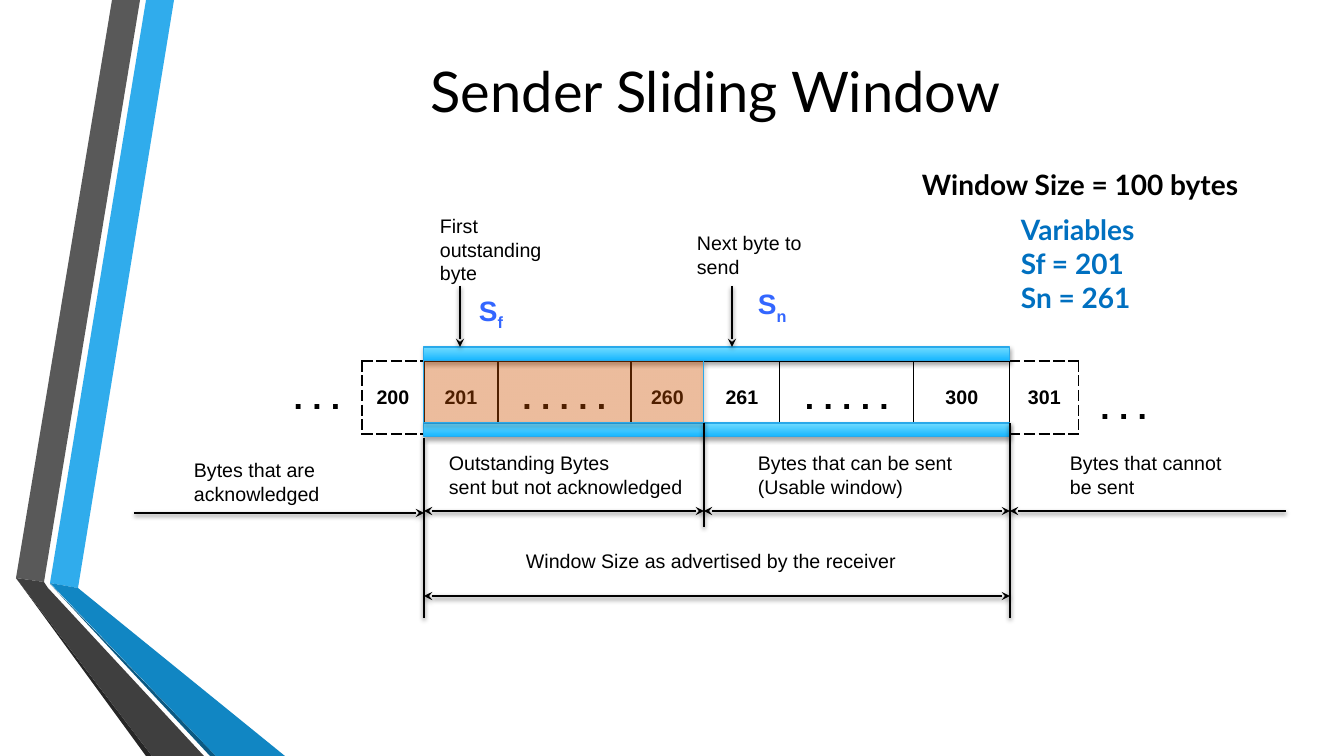
from itertools import accumulate

from lxml import etree
from pptx import Presentation
from pptx.dml.color import RGBColor
from pptx.enum.shapes import MSO_CONNECTOR, MSO_SHAPE
from pptx.enum.text import MSO_ANCHOR, PP_ALIGN
from pptx.oxml.ns import qn
from pptx.util import Pt

STRAIGHT, RECTANGLE = MSO_CONNECTOR.STRAIGHT, MSO_SHAPE.RECTANGLE
MIDDLE, CENTER = MSO_ANCHOR.MIDDLE, PP_ALIGN.CENTER
SCALE = 914400 / 100.8  # EMU per pixel
NO_STYLE = "{2D5ABB26-0587-4C30-8999-92F81FD0307C}"
COLORS = {
    "black": "000000", "variables": "0070C0", "pointer": "3366FF",
    "bar dark": "13B5FF", "bar light": "73DCFF", "bar edge": "29A9EA",
    "outstanding": "FF6600", "blue": "30ACEC", "gray": "595959",
    "gray fold": "262626", "blue fold": "0B5982",
    "blue tail": "1186C3", "gray tail": "3F3F3F",
}

# Content
TITLE = "Sender Sliding Window"
RIBBONS = [
    ("blue", [(50, 583), (78, 588), (174, 0), (146, 0)]),
    ("gray", [(140, 0), (112, 0), (16, 578), (44, 582)]),
    ("gray fold", [(16, 578), (146, 756), (152, 756)]),
    ("blue fold", [(50, 584), (210, 756), (216, 756)]),
    ("blue tail", [(50, 583), (216, 756), (285, 756), (78, 588)]),
    ("gray tail", [(204, 756), (48, 588), (44, 582), (16, 578), (152, 756)]),
]
# byte label, column width
BYTES = [(". . .", 90), ("200", 62), ("201", 74), (". . . . .", 133), ("260", 73),
         ("261", 76), (". . . . .", 134), ("300", 96), ("301", 69), (". . .", 90)]
# left, top, width, height, lines
LABELS = [
    (184, 453, 175, 57, ["Bytes that are acknowledged"]),
    (439, 446, 290, 57, ["Outstanding Bytes", "sent but not acknowledged"]),
    (748, 446, 238, 57, ["Bytes that can be sent (Usable window)"]),
    (1060, 446, 175, 57, ["Bytes that cannot be sent"]),
    (516, 544, 460, 34, ["Window Size as advertised by the receiver"]),
    (430, 209, 133, 82, ["First outstanding byte"]),
    (687, 226, 133, 57, ["Next byte to send"]),
]
FACTS = [
    (912, 163, 389, 44, ["Window Size = 100 bytes"], "black"),
    (1011, 208, 276, 112, ["Variables", "Sf = 201", "Sn = 261"], "variables"),
]
POINTERS = [(469, 289, 48, 44, "S", "f"), (748, 282, 54, 44, "S", "n")]

# Layout of the byte row and the window around it
ROW_TOP, ROW_HEIGHT = 361, 73
BAR_TOPS, BAR_HEIGHT = (347, 423), 14
EDGES = list(accumulate((width for _, width in BYTES), initial=272))
LEFT, NEXT, RIGHT = EDGES[2], EDGES[5], EDGES[8]
# x1, y1, x2, y2, arrow at start, arrow at end
LINES = [
    (LEFT, 438, LEFT, 618, False, False),
    (NEXT, 423, NEXT, 527, False, False),
    (RIGHT, 423, RIGHT, 618, False, False),
    (134, 513, LEFT, 513, False, True),
    (LEFT, 511, NEXT, 511, True, True),
    (NEXT, 511, RIGHT, 511, True, True),
    (1286, 511, RIGHT, 511, False, True),
    (LEFT, 596, RIGHT, 596, True, True),
    (460, 286, 460, 347, False, True),
    (732, 286, 732, 347, False, True),
]


def px(*lengths):
    return [round(length * SCALE) for length in lengths]


def rgb(name):
    return RGBColor.from_string(COLORS[name])


def add_node(parent, tag, **attributes):
    return etree.SubElement(parent, qn(tag), attributes)


def set_font(paragraph, size, name, color="black", bold=False):
    font = paragraph.font
    font.size, font.name, font.bold = Pt(size), name, bold
    font.color.rgb = rgb(color)


def add_shadow(shape, distance, alpha):
    effects = add_node(shape._element.spPr, "a:effectLst")
    shadow = add_node(effects, "a:outerShdw", blurRad="40000", dist=str(distance),
                      dir="5400000", rotWithShape="0")
    color = add_node(shadow, "a:srgbClr", val=COLORS["black"])
    add_node(color, "a:alpha", val=str(alpha * 1000))


def add_text(box, lines, size, name, color="black", bold=False):
    frame = slide.shapes.add_textbox(*px(*box)).text_frame
    frame.word_wrap = True
    frame.text = "\n".join(lines)
    for paragraph in frame.paragraphs:
        set_font(paragraph, size, name, color, bold)
    return frame.paragraphs[0]


def add_box(left, top, width, height):
    shape = slide.shapes.add_shape(RECTANGLE, *px(left, top, width, height))
    shape.line.color.rgb = rgb("bar edge")
    shape.line.width = Pt(0.75)
    return shape


def add_border(cell, tag, style):
    border = add_node(cell._tc.get_or_add_tcPr(), tag, w="12700" if style else "0")
    if style is None:
        add_node(border, "a:noFill")
        return
    fill = add_node(border, "a:solidFill")
    add_node(fill, "a:srgbClr", val=COLORS["black"])
    add_node(border, "a:prstDash", val=style)


presentation = Presentation()
presentation.slide_width, presentation.slide_height = px(1344, 756)
slide = presentation.slides.add_slide(presentation.slide_layouts[5])

# Title
title = slide.shapes.title
title.left, title.top, title.width, title.height = px(163, 40, 1105, 101)
title.text_frame.text = TITLE
title.text_frame.vertical_anchor = MIDDLE
title.text_frame.paragraphs[0].alignment = CENTER
set_font(title.text_frame.paragraphs[0], 40, "Lato")

# Folded ribbons at the left
for color, points in RIBBONS:
    builder = slide.shapes.build_freeform(*points[0], scale=SCALE)
    builder.add_line_segments(points[1:], close=True)
    ribbon = builder.convert_to_shape()
    ribbon.shadow.inherit = False
    ribbon.fill.solid()
    ribbon.fill.fore_color.rgb = rgb(color)
    ribbon.line.fill.background()

# Byte row: dashed outside the window, solid inside
frame = slide.shapes.add_table(
    1, len(BYTES), *px(EDGES[0], ROW_TOP, EDGES[-1] - EDGES[0], ROW_HEIGHT))
table = frame.table
table.first_row = table.horz_banding = False
table._tbl.tblPr.find(qn("a:tableStyleId")).text = NO_STYLE
side_styles = [None, "dash"] + ["solid"] * 7 + ["dash", None]
cap_styles = [None, "dash"] + ["solid"] * 6 + ["dash", None]
for index, (label, width) in enumerate(BYTES):
    table.columns[index].width, = px(width)
    cell = table.cell(0, index)
    cell.text = label
    cell.vertical_anchor = MIDDLE
    paragraph = cell.text_frame.paragraphs[0]
    paragraph.alignment = CENTER
    set_font(paragraph, 14 if label.isdigit() else 24, "Arial", bold=True)
    add_border(cell, "a:lnL", side_styles[index])
    add_border(cell, "a:lnR", side_styles[index + 1])
    add_border(cell, "a:lnT", cap_styles[index])
    add_border(cell, "a:lnB", cap_styles[index])
    cell.fill.background()
table.cell(0, len(BYTES) - 1).margin_top, = px(25)

# Window bars and the outstanding bytes
for top in BAR_TOPS:
    bar = add_box(LEFT, top, RIGHT - LEFT, BAR_HEIGHT)
    bar.fill.gradient()
    bar.fill.gradient_angle = 90
    for stop, color in zip(bar.fill.gradient_stops, ("bar dark", "bar light")):
        stop.color.rgb = rgb(color)
    add_shadow(bar, 23000, 35)
outstanding = add_box(LEFT, ROW_TOP, NEXT - LEFT, BAR_TOPS[1] - ROW_TOP)
outstanding.fill.solid()
outstanding.fill.fore_color.rgb = rgb("outstanding")
add_node(outstanding._element.spPr.find(".//" + qn("a:srgbClr")), "a:alpha", val="31000")
add_shadow(outstanding, 23000, 35)

# Range lines and pointer arrows
for x1, y1, x2, y2, start_arrow, end_arrow in LINES:
    line = slide.shapes.add_connector(STRAIGHT, *px(x1, y1, x2, y2))
    line.line.color.rgb = rgb("black")
    line.line.width = Pt(2)
    for tag, wanted in (("a:headEnd", start_arrow), ("a:tailEnd", end_arrow)):
        if wanted:
            add_node(line.line._get_or_add_ln(), tag, type="stealth")
    add_shadow(line, 20000, 37)

# Labels, facts and pointer names
for *box, lines in LABELS:
    add_text(box, lines, 14, "Arial")
for *box, lines, color in FACTS:
    add_text(box, lines, 20, "Lato", color, True)
for *box, name, subscript in POINTERS:
    paragraph = add_text(box, [name], 20, "Arial", "pointer", True)
    run = paragraph.add_run()
    run.text = subscript
    run._r.get_or_add_rPr().set("baseline", "-25000")

presentation.save("out.pptx")
